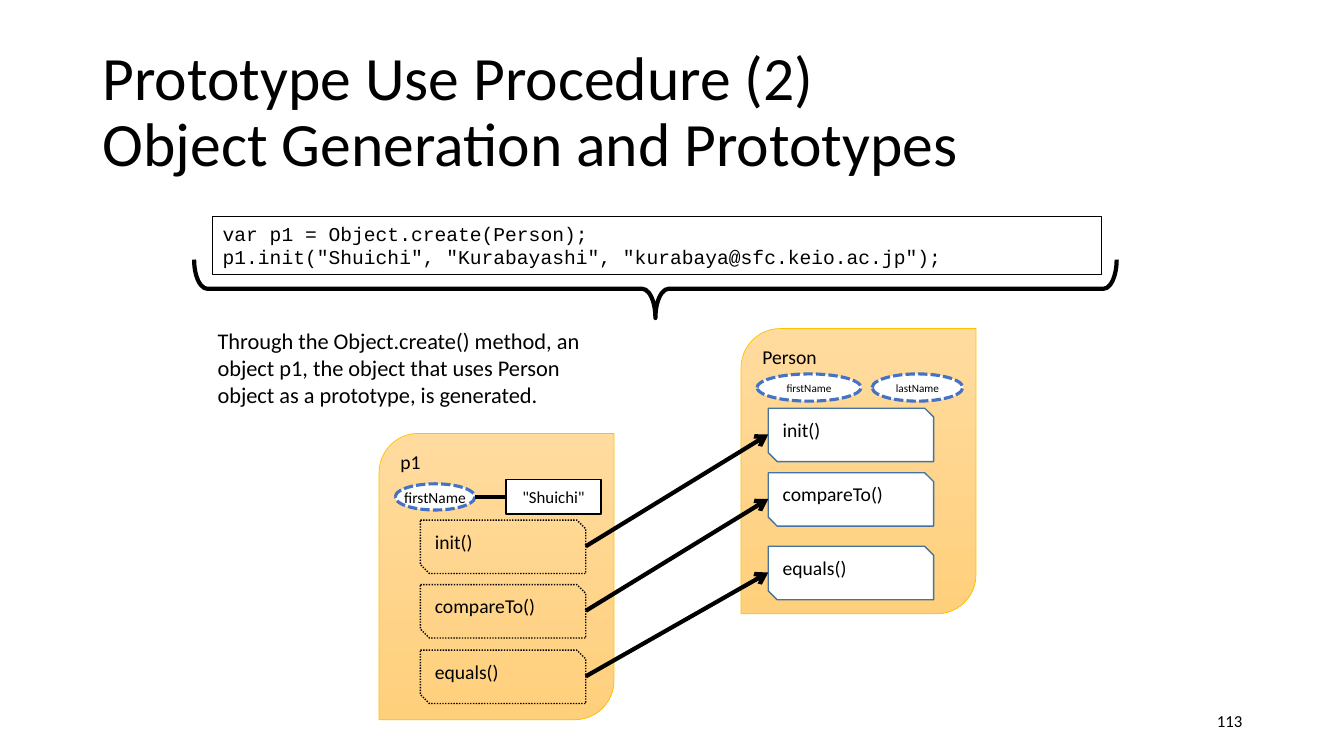
import pptx
import pptx.dml.color
import pptx.enum.dml
import pptx.enum.shapes
import pptx.enum.text
import pptx.oxml
import pptx.oxml.ns
import pptx.util

HEX = {"ink": "000000", "paper": "FFFFFF", "pale": "FFDB9E", "deep": "FFD07C",
       "gold": "FFC000", "steel": "43739E", "blue": "4472C4"}
KIND = pptx.enum.shapes.MSO_SHAPE
DASH = pptx.enum.dml.MSO_LINE
ALIGN = pptx.enum.text.PP_ALIGN
ANCHOR = pptx.enum.text.MSO_ANCHOR
ROW_W, ROW_H = 164, 53


def px(num):
    """Turn pixels, 100 to the inch, into EMU."""
    return pptx.util.Emu(num * 9144)


def tint(name):
    """Give the named colour."""
    return pptx.dml.color.RGBColor.from_string(HEX[name])


def write(shape, text, size, font="Calibri", align=ALIGN.LEFT,
          anchor=ANCHOR.TOP, wrap=True, space=None):
    """Fill a shape with formatted text."""
    frame = shape.text_frame
    frame.text = text
    frame.word_wrap = wrap
    frame.vertical_anchor = anchor
    for para in frame.paragraphs:
        para.alignment = align
        para.line_spacing = space
        for run in para.runs:
            run.font.size = pptx.util.Pt(size)
            run.font.name = font
            run.font.color.rgb = tint("ink")


def label(slide, box, text, size, **style):
    """Add a plain text box."""
    write(slide.shapes.add_textbox(*map(px, box)), text, size, **style)


def block(slide, kind, box, line, width, fill=None, dash=None):
    """Add an outlined shape, filled or open."""
    shape = slide.shapes.add_shape(kind, *map(px, box))
    shape.shadow.inherit = False
    if fill:
        shape.fill.solid()
        shape.fill.fore_color.rgb = tint(fill)
    else:
        shape.fill.background()
    shape.line.color.rgb = tint(line)
    shape.line.width = pptx.util.Pt(width)
    if dash:
        shape.line.dash_style = dash
    return shape


def panel(slide, box, name):
    """Add the golden card of an object."""
    card = block(slide, KIND.ROUND_2_DIAG_RECTANGLE, box, "gold", 0.5)
    card.fill.gradient()
    card.fill.gradient_angle = 270
    for stop, shade in zip(card.fill.gradient_stops, ("pale", "deep")):
        stop.color.rgb = tint(shade)
    write(card, name, 14)


def field(slide, box, name, size):
    """Add a dashed oval for a property."""
    oval = block(slide, KIND.OVAL, box, "blue", 2.25, "paper", DASH.SQUARE_DOT)
    write(oval, name, size, align=ALIGN.CENTER, anchor=ANCHOR.MIDDLE, wrap=False)


def method(slide, left, top, name, *look):
    """Add a snipped box for a method."""
    box = (left, top, ROW_W, ROW_H)
    write(block(slide, KIND.SNIP_2_DIAG_RECTANGLE, box, *look), name, 14)


def link(slide, start, end, head=False):
    """Add a thick line, with an arrowhead if asked."""
    line = slide.shapes.add_connector(
        pptx.enum.shapes.MSO_CONNECTOR.STRAIGHT, *map(px, start + end))
    line.line.color.rgb = tint("ink")
    line.line.width = pptx.util.Pt(3)
    if head:
        tip = pptx.oxml.parse_xml(
            f'<a:tailEnd {pptx.oxml.ns.nsdecls("a")} type="arrow"/>')
        line.line._get_or_add_ln().append(tip)
    line._element.spPr.append(pptx.oxml.parse_xml(
        f'<a:effectLst {pptx.oxml.ns.nsdecls("a")}/>'))
    return line


def main():
    """Build and save the slide."""
    deck = pptx.Presentation()
    deck.slide_width, deck.slide_height = px(1333), px(750)
    slide = deck.slides.add_slide(deck.slide_layouts[6])

    label(slide, (92, 40, 1150, 145),
          "Prototype Use Procedure (2)\vObject Generation and Prototypes",
          44, anchor=ANCHOR.MIDDLE, space=0.9)
    label(slide, (942, 695, 300, 40), "113", 12,
          align=ALIGN.RIGHT, anchor=ANCHOR.MIDDLE)
    code = block(slide, KIND.RECTANGLE, (211, 215, 882, 57), "ink", 0.75)
    write(code, 'var p1 = Object.create(Person);\n'
          'p1.init("Shuichi", "Kurabayashi", "kurabaya@sfc.keio.ac.jp");',
          14, font="Courier New")
    brace = block(slide, KIND.RIGHT_BRACE, (621, -171, 58, 915), "ink", 3)
    brace.rotation = 90
    brace.adjustments[0] = 0.226
    label(slide, (206, 320, 416, 91),
          "Through the Object.create() method, an object p1, the object "
          "that uses Person object as a prototype, is generated.", 16)

    panel(slide, (735, 326, 233, 283), "Person")
    field(slide, (751, 371, 103, 27), "firstName", 8)
    field(slide, (865, 371, 90, 27), "lastName", 8)
    panel(slide, (376, 430, 233, 284), "p1")
    field(slide, (392, 480, 79, 26), "firstName", 11)
    value = block(slide, KIND.RECTANGLE, (502, 476, 94, 34), "ink", 1, "paper")
    write(value, '"Shuichi"', 12, align=ALIGN.CENTER, anchor=ANCHOR.MIDDLE)
    link(slide, (471, 493), (502, 493)).end_connect(value, 1)

    rows = (("init()", 516, 405), ("compareTo()", 580, 469), ("equals()", 645, 542))
    near, far, half = 417, 762, ROW_H // 2
    for name, low, high in rows:
        method(slide, far, high, name, "steel", 1, "paper")
        method(slide, near, low, name, "ink", 1, None, DASH.ROUND_DOT)
        link(slide, (near + ROW_W, low + half), (far, high + half), True)

    deck.save("out.pptx")


if __name__ == "__main__":
    main()
